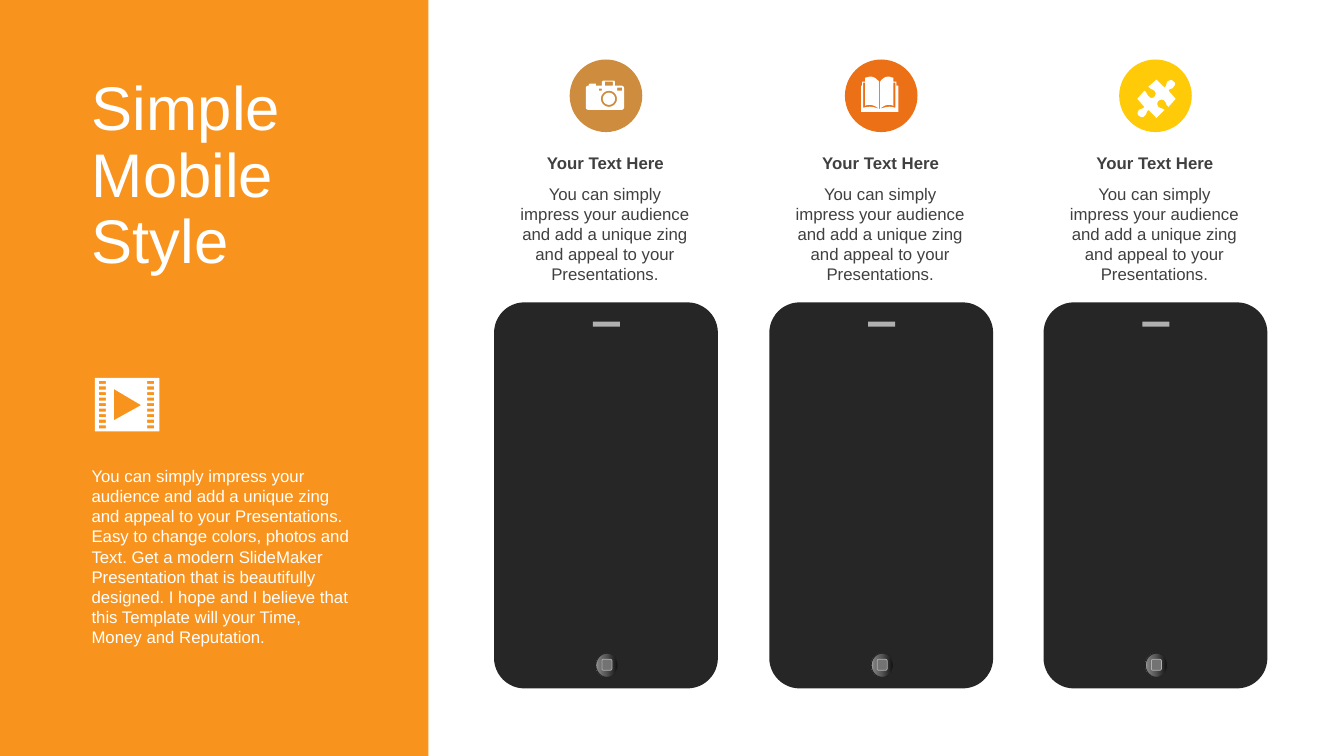
"""Build the Simple Mobile Style slide with three phones and captions."""
import math

from lxml import etree
from pptx import Presentation
from pptx import util as u
from pptx.dml.color import RGBColor
from pptx.enum import shapes, text
from pptx.oxml import ns

WHITE = RGBColor(0xFF, 0xFF, 0xFF)
ORANGE = RGBColor(0xF8, 0x93, 0x1D)
BRONZE = RGBColor(0xCE, 0x8D, 0x3E)
RUST = RGBColor(0xEC, 0x70, 0x16)
YELLOW = RGBColor(0xFF, 0xCA, 0x08)
CASE = RGBColor(0x26, 0x26, 0x26)
SPEAKER = RGBColor(0xB0, 0xB0, 0xB0)
BUTTON = RGBColor(0x73, 0x73, 0x73)
INK = RGBColor(0x40, 0x40, 0x40)
BUTTON_STOPS = ((0, "0F0F0F"), (56, "595959"), (91, "808080"), (100, "BFBFBF"))

LEFT, CENTER = text.PP_ALIGN.LEFT, text.PP_ALIGN.CENTER
RECT = shapes.MSO_SHAPE.RECTANGLE
ROUND = shapes.MSO_SHAPE.ROUNDED_RECTANGLE
OVAL = shapes.MSO_SHAPE.OVAL

INTRO = (
    "You can simply impress your audience and add a unique zing and appeal to "
    "your Presentations. Easy to change colors, photos and Text. Get a modern "
    "SlideMaker Presentation that is beautifully designed. I hope and I believe "
    "that this Template will your Time, Money and Reputation."
)
CAPTION = (
    "You can simply impress your audience and add a unique zing and appeal to "
    "your Presentations."
)


def box(left, top, width, height):
    return [(left, top), (left + width, top),
            (left + width, top + height), (left, top + height)]


def circle(x, y, radius, steps=32):
    angles = [2 * math.pi * i / steps for i in range(steps)]
    return [(x + radius * math.cos(a), y + radius * math.sin(a)) for a in angles]


def flatten(contour, steps=8):
    points = []
    for item in contour:
        if len(item) == 2:
            points.append(item)
            continue
        knots = [points[-1], item[:2], item[2:4], item[4:]]
        for i in range(1, steps + 1):
            t = i / steps
            weights = ((1 - t) ** 3, 3 * t * (1 - t) ** 2, 3 * t * t * (1 - t), t ** 3)
            points.append(tuple(sum(w * k[axis] for w, k in zip(weights, knots))
                                for axis in (0, 1)))
    return points


FILM = [box(0.94, 3.75, 0.64, 0.53), [(1.13, 3.86), (1.13, 4.17), (1.4, 4.02)]] + [
    box(x, 3.78 + 0.44 * row / 8, 0.07, 0.03) for row in range(9) for x in (0.98, 1.46)
]
CAMERA = [
    [(5.98, 0.8), (6.09, 0.8), (6.1, 0.81), (6.1, 0.85), (6.16, 0.85),
     (6.18, 0.85, 6.19, 0.86, 6.19, 0.88), (6.19, 1.06),
     (6.19, 1.08, 6.18, 1.09, 6.16, 1.09), (5.84, 1.09),
     (5.82, 1.09, 5.81, 1.08, 5.81, 1.06), (5.81, 0.88),
     (5.81, 0.86, 5.82, 0.85, 5.84, 0.85), (5.84, 0.84), (5.85, 0.83),
     (5.91, 0.83), (5.91, 0.85), (5.97, 0.85), (5.97, 0.81)],
    circle(6.04, 0.98, 0.08), circle(6.04, 0.98, 0.06),
    box(5.94, 0.88, 0.03, 0.02), box(6.12, 0.87, 0.05, 0.03), box(6, 0.81, 0.08, 0.04),
]
BOOK = [[
    (8.72, 1.08), (8.73, 1.08), (8.79, 1.06, 8.82, 1.05, 8.88, 1.07), (8.88, 0.82),
    (8.86, 0.82), (8.86, 1.05), (8.82, 1.03, 8.77, 1.04, 8.73, 1.08), (8.73, 0.81),
    (8.75, 0.78, 8.78, 0.76, 8.81, 0.76), (8.83, 0.76, 8.84, 0.77, 8.86, 0.77),
    (8.86, 0.81), (8.89, 0.81), (8.89, 0.85), (8.91, 0.85), (8.91, 1.11),
    (8.54, 1.11), (8.54, 0.85), (8.55, 0.85), (8.55, 0.81), (8.58, 0.81),
    (8.58, 0.77), (8.6, 0.77, 8.62, 0.76, 8.63, 0.76),
    (8.67, 0.76, 8.69, 0.78, 8.72, 0.81), (8.72, 1.08),
    (8.67, 1.04, 8.62, 1.03, 8.58, 1.05), (8.58, 0.82), (8.56, 0.82), (8.56, 1.07),
    (8.63, 1.05, 8.66, 1.06, 8.72, 1.08),
]]
PUZZLE = [[
    (11.64, 0.81), (11.66, 0.82, 11.66, 0.84, 11.64, 0.86),
    (11.63, 0.89, 11.6, 0.87, 11.59, 0.9), (11.66, 0.98), (11.59, 1.06),
    (11.56, 1.04, 11.57, 1.02, 11.55, 1), (11.53, 0.98, 11.5, 0.99, 11.49, 1),
    (11.48, 1.01, 11.47, 1.04, 11.49, 1.06), (11.52, 1.08, 11.52, 1.07, 11.55, 1.09),
    (11.47, 1.17), (11.39, 1.09), (11.36, 1.12, 11.38, 1.13, 11.35, 1.15),
    (11.34, 1.17, 11.31, 1.16, 11.3, 1.15), (11.28, 1.14, 11.28, 1.12, 11.29, 1.1),
    (11.31, 1.07, 11.33, 1.09, 11.35, 1.06), (11.28, 0.98), (11.35, 0.9),
    (11.38, 0.92, 11.37, 0.94, 11.4, 0.96), (11.41, 0.98, 11.44, 0.97, 11.45, 0.96),
    (11.46, 0.95, 11.47, 0.92, 11.45, 0.9), (11.42, 0.88, 11.42, 0.89, 11.39, 0.86),
    (11.47, 0.79), (11.55, 0.87), (11.58, 0.84, 11.56, 0.83, 11.58, 0.81),
    (11.6, 0.79, 11.63, 0.79, 11.64, 0.81),
]]
COLUMNS = ((4.9, BRONZE, CAMERA), (7.63, RUST, BOOK), (10.35, YELLOW, PUZZLE))


def write(tf, words, *, size=12, color=INK, bold=False, align=LEFT, spacing=None):
    tf.word_wrap = True
    tf.vertical_anchor = text.MSO_ANCHOR.TOP
    p = tf.paragraphs[0]
    p.alignment = align
    if spacing:
        p.line_spacing = spacing
    r = p.add_run()
    r.text = words
    r.font.name, r.font.size, r.font.bold = "Arial", u.Pt(size), bold
    r.font.color.rgb = color


class MobileSlide:
    def __init__(self, prs, font_color):
        self.s = prs.slides.add_slide(prs.slide_layouts[5])
        self.font_color = font_color

    def paint(self, sp, fill, line=None, width=0):
        sp.shadow.inherit = False
        sp.fill.solid()
        sp.fill.fore_color.rgb = fill
        if line is None:
            sp.line.fill.background()
        else:
            sp.line.color.rgb = line
            sp.line.width = u.Pt(width)
        return sp

    def shape(self, kind, at, fill, line=None, width=0, group=None):
        owner = group.shapes if group else self.s.shapes
        sp = owner.add_shape(kind, *map(u.Inches, at))
        return self.paint(sp, fill, line, width)

    def text(self, at, words, **style):
        tf = self.s.shapes.add_textbox(*map(u.Inches, at)).text_frame
        write(tf, words, **{"color": self.font_color, **style})
        tf.auto_size = text.MSO_AUTO_SIZE.SHAPE_TO_FIT_TEXT

    def title(self, at, words, **style):
        sp = self.s.shapes.title
        sp.left, sp.top, sp.width, sp.height = map(u.Inches, at)
        write(sp.text_frame, words, **style)
        sp.text_frame.auto_size = text.MSO_AUTO_SIZE.NONE
        self.s.shapes.element.append(sp.element)

    def icon(self, contours, fill=WHITE):
        outlines = [[(u.Inches(x), u.Inches(y)) for x, y in flatten(c)] for c in contours]
        builder = self.s.shapes.build_freeform(*outlines[0][0])
        for i, points in enumerate(outlines):
            if i:
                builder.move_to(*points[0])
            builder.add_line_segments(points[1:], close=True)
        self.paint(builder.convert_to_shape(), fill)

    def phone(self, left):
        group = self.s.shapes.add_group_shape()
        body = self.shape(ROUND, (left, 3, 2.22, 3.83), CASE, group=group)
        body.adjustments[0] = 0.136
        self.shape(RECT, (left + 0.98, 3.19, 0.27, 0.05), SPEAKER, group=group)
        home = self.shape(OVAL, (left + 1.01, 6.48, 0.22, 0.24), CASE, CASE, group=group)
        home.fill.gradient()
        home.fill.gradient_angle = 180
        stops = home.element.find(".//" + ns.qn("a:gsLst"))
        stops.clear()
        for position, color in BUTTON_STOPS:
            stop = etree.SubElement(stops, ns.qn("a:gs"), pos=str(position * 1000))
            etree.SubElement(stop, ns.qn("a:srgbClr"), val=color)
        self.shape(ROUND, (left + 1.07, 6.54, 0.1, 0.11), BUTTON, SPEAKER, 0.5, group)


def main():
    prs = Presentation()
    prs.slide_width, prs.slide_height = u.Inches(13.33), u.Inches(7.5)
    slide = MobileSlide(prs, INK)
    slide.shape(RECT, (0, 0, 4.25, 7.5), ORANGE)
    slide.title((0.81, 0.72, 2.35, 2.1), "Simple Mobile Style",
                size=44, color=WHITE, spacing=0.9)
    slide.icon(FILM)
    slide.text((0.81, 4.57, 2.8, 1.92), INTRO, color=WHITE)
    for left, color, icon in COLUMNS:
        slide.phone(left)
        slide.text((left + 0.13, 1.47, 1.95, 0.3), "Your Text Here", bold=True, align=CENTER)
        slide.text((left + 0.14, 1.77, 1.92, 1.11), CAPTION, align=CENTER)
        slide.shape(OVAL, (left + 0.75, 0.59, 0.72, 0.72), color)
        slide.icon(icon)
    prs.save("out.pptx")


if __name__ == "__main__":
    main()
